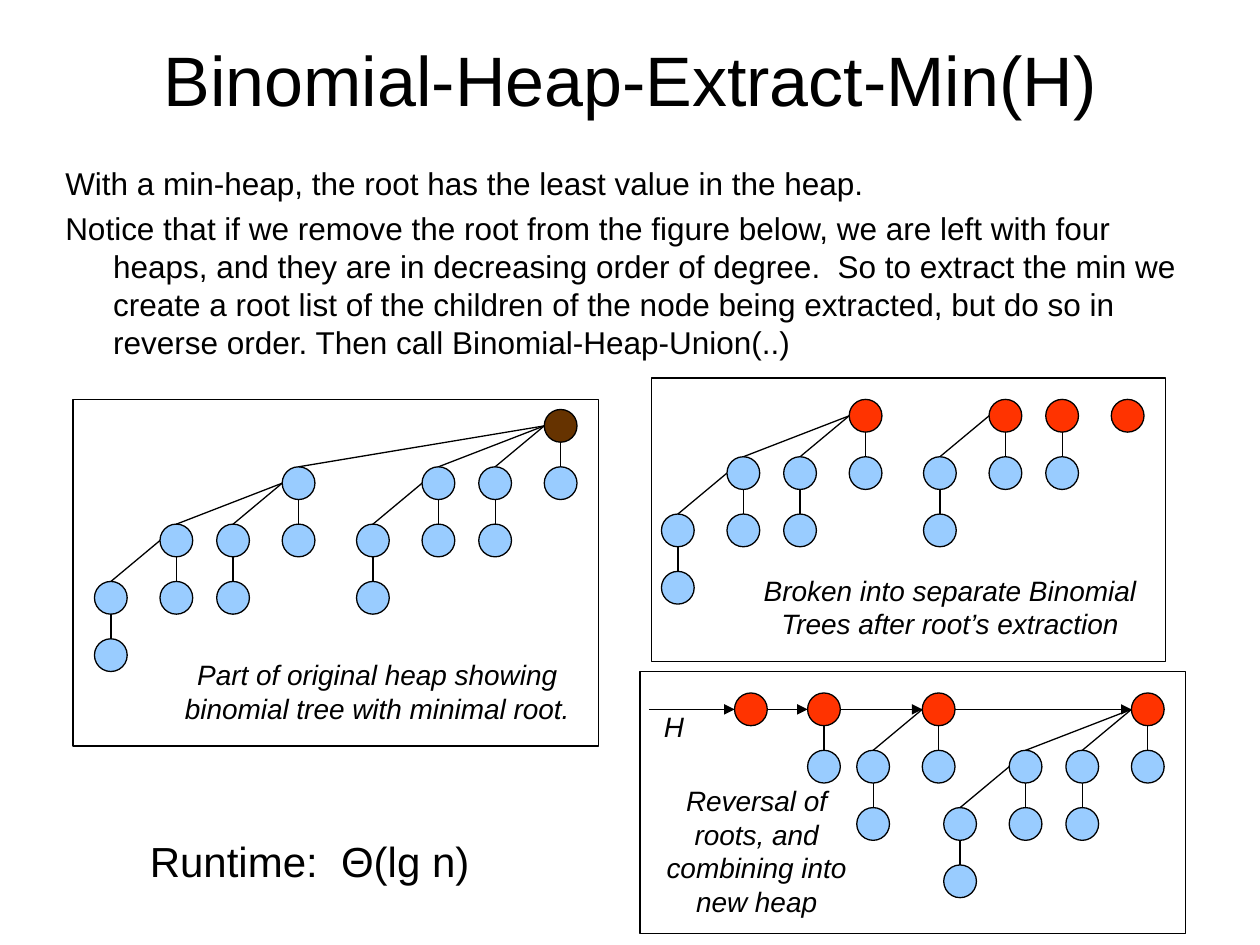
from lxml import etree
from pptx import Presentation
from pptx.dml.color import RGBColor
from pptx.enum.shapes import MSO_CONNECTOR, MSO_SHAPE
from pptx.enum.text import MSO_ANCHOR, PP_ALIGN
from pptx.oxml.ns import qn
from pptx.util import Inches, Pt

LEFT, CENTER = PP_ALIGN.LEFT, PP_ALIGN.CENTER
TOP, MIDDLE = MSO_ANCHOR.TOP, MSO_ANCHOR.MIDDLE
OVAL, RECTANGLE = MSO_SHAPE.OVAL, MSO_SHAPE.RECTANGLE
STRAIGHT = MSO_CONNECTOR.STRAIGHT

COLORS = {
    "ink": "000000",
    "node": "99CCFF",
    "minimum": "663300",
    "root": "FF3300",
}

NODE = 0.26                             # node diameter
LEVEL = 1.82 / 4                        # drop from one tree level to the next
CHILD_SHIFT = (0, 0.52, 0.97, 2.08)     # how far left a child of each degree sits


class HeapSlide:
    font_name = "Arial"
    line_width = Pt(0.75)

    def __init__(self, slide):
        self.slide = slide
        self.shapes = slide.shapes

    def color(self, name):
        return RGBColor.from_string(COLORS[name])

    def start_group(self):
        """Send the following elements to a new group."""
        self.shapes = self.slide.shapes.add_group_shape().shapes

    def end_group(self):
        self.shapes = self.slide.shapes

    def text(self, box, paragraphs, size, align=LEFT, anchor=TOP, italic=False,
             wrap=True, hanging=0, space_before=0):
        frame = self.shapes.add_textbox(*map(Inches, box)).text_frame
        frame.word_wrap = wrap
        frame.vertical_anchor = anchor
        for index, content in enumerate(paragraphs):
            paragraph = frame.add_paragraph() if index else frame.paragraphs[0]
            paragraph.text = content
            paragraph.alignment = align
            if index:
                paragraph.space_before = Pt(space_before)
            if hanging:
                properties = paragraph._p.get_or_add_pPr()
                properties.set("marL", str(Inches(hanging)))
                properties.set("indent", str(-Inches(hanging)))
            font = paragraph.font
            font.name, font.size, font.italic = self.font_name, Pt(size), italic
            font.color.rgb = self.color("ink")

    def caption(self, box, content, wrap=True):
        self.text(box, [content], 16, CENTER, italic=True, wrap=wrap)

    def outline(self, kind, box, fill=None):
        shape = self.shapes.add_shape(kind, *map(Inches, box))
        shape.shadow.inherit = False
        if fill:
            shape.fill.solid()
            shape.fill.fore_color.rgb = self.color(fill)
        else:
            shape.fill.background()
        shape.line.color.rgb = self.color("ink")
        shape.line.width = self.line_width

    def line(self, start, end, arrow=False):
        connector = self.shapes.add_connector(STRAIGHT, *map(Inches, start + end))
        connector.line.color.rgb = self.color("ink")
        connector.line.width = self.line_width
        if arrow:
            line_element = connector.line._get_or_add_ln()
            etree.SubElement(line_element, qn("a:tailEnd"), type="triangle")
        etree.SubElement(connector._element.spPr, qn("a:effectLst"))

    def tree(self, degree, left, top, fill="node"):
        """Binomial tree: the root has one child of every lower degree."""
        middle = left + NODE / 2
        child_top = top + LEVEL
        for child_degree in reversed(range(degree)):
            child_left = left - CHILD_SHIFT[child_degree]
            self.tree(child_degree, child_left, child_top)
            if child_degree:
                start = (left, top + NODE / 2)
            else:
                start = (middle, top + NODE)
            self.line(start, (child_left + NODE / 2, child_top))
        self.outline(OVAL, (left, top, NODE, NODE), fill)


def main():
    presentation = Presentation()
    presentation.slide_width, presentation.slide_height = Inches(10), Inches(7.5)
    heap = HeapSlide(presentation.slides.add_slide(presentation.slide_layouts[6]))

    # Title and explanation
    heap.text((0.5, 0, 9, 1.25), ["Binomial-Heap-Extract-Min(H)"], 40, CENTER, MIDDLE)
    heap.text((0.42, 1.25, 9.17, 1.67), [
        "With a min-heap, the root has the least value in the heap.",
        "Notice that if we remove the root from the figure below, we are left with "
        "four heaps, and they are in decreasing order of degree.  So to extract the "
        "min we create a root list of the children of the node being extracted, but "
        "do so in reverse order. Then call Binomial-Heap-Union(..)",
    ], 18, hanging=0.38, space_before=4.5)

    # Heap before extraction
    heap.start_group()
    heap.tree(4, 4.32, 3.25, "minimum")
    heap.caption((1.33, 5.17, 3.33, 0.64),
                 "Part of original heap showing binomial tree with minimal root.")
    heap.outline(RECTANGLE, (0.58, 3.17, 4.17, 2.75))

    # Separate trees after extraction
    heap.start_group()
    for degree, left in ((3, 6.74), (2, 7.85), (1, 8.3), (0, 8.82)):
        heap.tree(degree, left, 3.17, "root")
    heap.caption((5.75, 4.5, 3.58, 0.64),
                 "Broken into separate Binomial Trees after root’s extraction")
    heap.outline(RECTANGLE, (5.17, 3, 4.08, 2.25))

    # Reversed root list, linked by arrows
    heap.start_group()
    root_top = 5.5
    link_y = root_top + NODE / 2
    link_start = 5.15
    for degree, left in enumerate((5.83, 6.41, 7.32, 8.98)):
        heap.tree(degree, left, root_top, "root")
        heap.line((link_start, link_y), (left, link_y), arrow=True)
        link_start = left + NODE
    heap.caption((5.17, 6.17, 1.67, 1.17),
                 "Reversal of roots, and combining into new heap")
    heap.caption((5.17, 5.58, 0.36, 0.37), "H", wrap=False)
    heap.outline(RECTANGLE, (5.08, 5.33, 4.33, 2.08))
    heap.end_group()

    # Running time
    heap.text((1.09, 6.58, 2.92, 0.5), ["Runtime:  Θ(lg n)"], 24)

    presentation.save("out.pptx")


if __name__ == "__main__":
    main()
